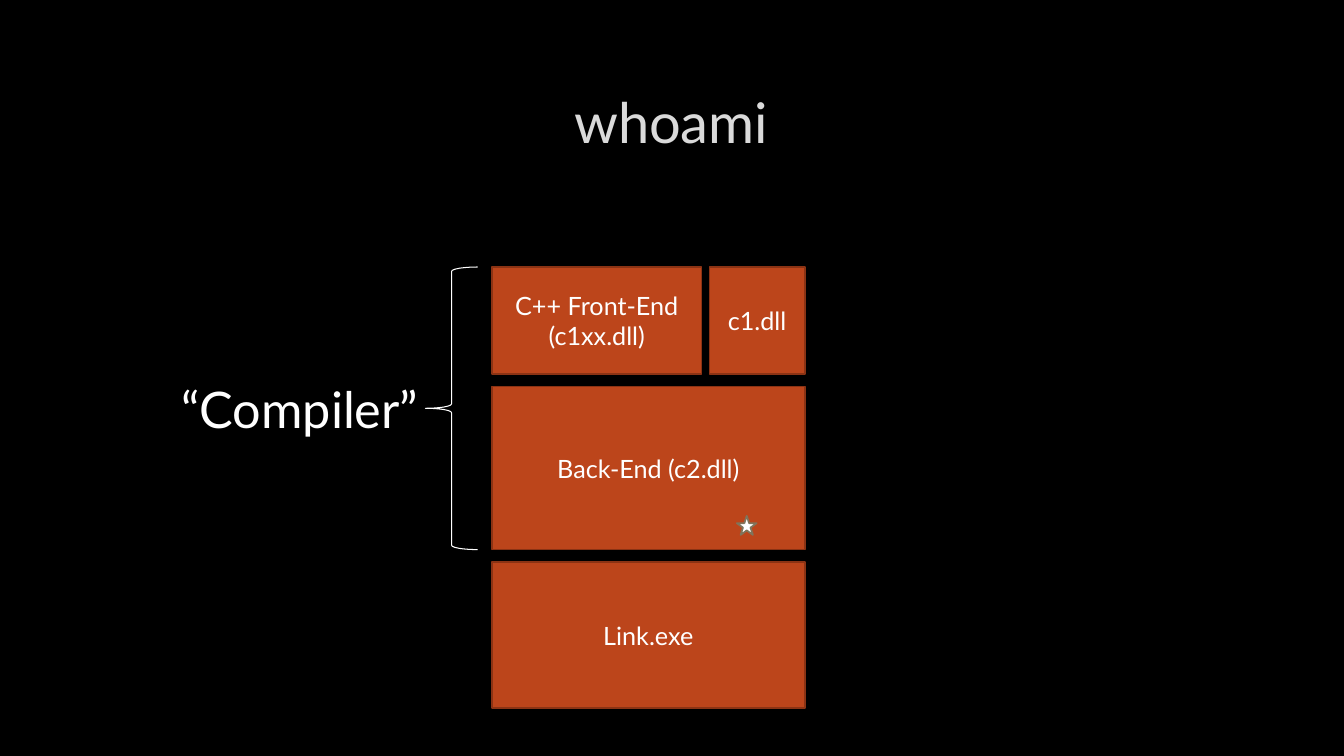
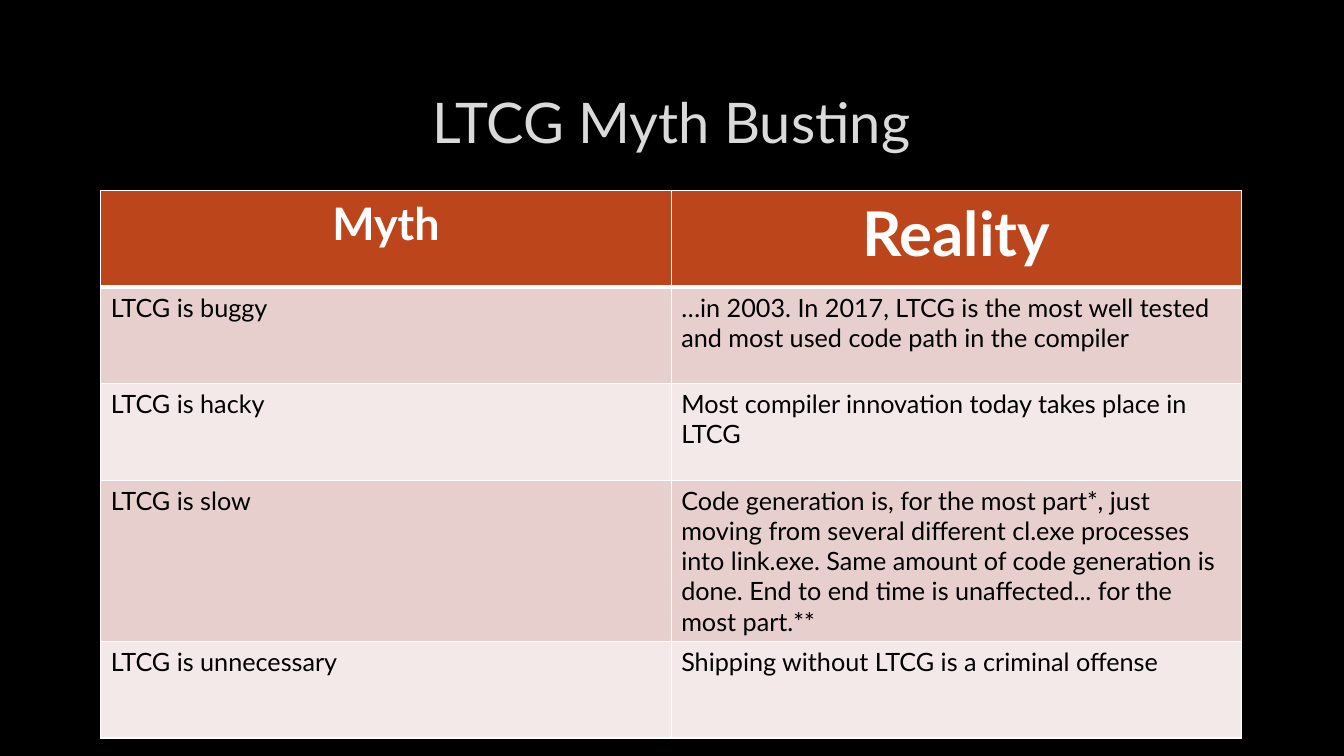
from dataclasses import dataclass

import lxml.etree
import pptx
import pptx.dml.color
import pptx.enum.shapes
import pptx.enum.text
import pptx.oxml
import pptx.oxml.ns
import pptx.util

Cm = pptx.util.Cm
Pt = pptx.util.Pt
Preset = pptx.enum.shapes.MSO_SHAPE
Align = pptx.enum.text.PP_ALIGN
Anchor = pptx.enum.text.MSO_ANCHOR


@dataclass(frozen=True)
class Theme:
    font: str = "Lato"
    background: str = "000000"
    title: str = "DADADA"
    title_outline: str = "404040"
    light: str = "FFFFFF"
    dark: str = "000000"
    accent: str = "BC451B"
    accent_line: str = "8B3314"
    star_line: str = "80745B"
    bands: tuple = ("E7CFCD", "F3E9E8")
    title_size: float = 40
    label_size: float = 36
    body_size: float = 18
    header_sizes: tuple = (32, 44)
    thin_line: float = 0.75
    shape_line: float = 1.25
    cell_line: float = 1
    header_line: float = 3
    margin: float = 2.54
    content_width: float = 28.75


THEME = Theme()

MYTHS = [
    ("LTCG is buggy",
     "…in 2003. In 2017, LTCG is the most well tested and most used code path in the compiler"),
    ("LTCG is hacky", "Most compiler innovation today takes place in LTCG"),
    ("LTCG is slow",
     "Code generation is, for the most part*, just moving from several different cl.exe "
     "processes into link.exe. Same amount of code generation is done. "
     "End to end time is unaffected... for the most part.**"),
    ("LTCG is unnecessary", "Shipping without LTCG is a criminal offense"),
]


def rgb(value):
    return pptx.dml.color.RGBColor.from_string(value)


def line_xml(tag, color, width, alpha=100):
    namespace = pptx.oxml.ns.nsdecls("a")
    return pptx.oxml.parse_xml(
        f'<a:{tag} {namespace} w="{Pt(width)}"><a:solidFill><a:srgbClr val="{color}">'
        f'<a:alpha val="{alpha * 1000}"/></a:srgbClr></a:solidFill></a:{tag}>'
    )


def add_run(text_frame, text, size, color, align=Align.LEFT, bold=False):
    paragraph = text_frame.paragraphs[0]
    paragraph.alignment = align
    run = paragraph.add_run()
    run.text = text
    run.font.name = THEME.font
    run.font.size = Pt(size)
    run.font.bold = bold
    run.font.color.rgb = rgb(color)
    return run


def add_text(slide, box, text, size, color, align=Align.LEFT, anchor=Anchor.TOP):
    shape = slide.shapes.add_textbox(*map(Cm, box))
    shape.text_frame.word_wrap = True
    shape.text_frame.vertical_anchor = anchor
    return add_run(shape.text_frame, text, size, color, align)


def add_titled_slide(presentation, title):
    slide = presentation.slides.add_slide(presentation.slide_layouts[6])
    slide.background.fill.solid()
    slide.background.fill.fore_color.rgb = rgb(THEME.background)
    run = add_text(slide, (THEME.margin, 1.7, THEME.content_width, 2.7), title,
                   THEME.title_size, THEME.title, Align.CENTER, Anchor.MIDDLE)
    run.font._element.insert(0, line_xml("ln", THEME.title_outline, THEME.thin_line, 10))
    return slide


def add_preset(slide, preset, box, line_color, line_width, fill=None):
    shape = slide.shapes.add_shape(preset, *map(Cm, box))
    shape.shadow.inherit = False
    if fill:
        shape.fill.solid()
        shape.fill.fore_color.rgb = rgb(fill)
    else:
        shape.fill.background()
    shape.line.color.rgb = rgb(line_color)
    shape.line.width = Pt(line_width)
    return shape


def add_block(slide, box, text):
    shape = add_preset(slide, Preset.RECTANGLE, box, THEME.accent_line,
                       THEME.shape_line, THEME.accent)
    shape.text_frame.word_wrap = True
    shape.text_frame.vertical_anchor = Anchor.MIDDLE
    add_run(shape.text_frame, text, THEME.body_size, THEME.light, Align.CENTER)


def style_cell(cell, fill, top_width, bottom_width):
    cell.fill.solid()
    cell.fill.fore_color.rgb = rgb(fill)
    widths = {"lnL": THEME.cell_line, "lnR": THEME.cell_line,
              "lnT": top_width, "lnB": bottom_width}
    properties = cell._tc.get_or_add_tcPr()
    for position, (tag, width) in enumerate(widths.items()):
        properties.insert(position, line_xml(tag, THEME.light, width))


def add_myth_table(slide, top, row_height):
    row_count = len(MYTHS) + 1
    table = slide.shapes.add_table(
        row_count, 2, Cm(THEME.margin), Cm(top),
        Cm(THEME.content_width), Cm(row_height * row_count)).table
    table.horz_banding = False
    for cell, text, size in zip(table.rows[0].cells, ("Myth", "Reality"), THEME.header_sizes):
        style_cell(cell, THEME.accent, THEME.cell_line, THEME.header_line)
        add_run(cell.text_frame, text, size, THEME.light, Align.CENTER, True)
    for index, texts in enumerate(MYTHS):
        top_width = THEME.cell_line if index else THEME.header_line
        for cell, text in zip(table.rows[index + 1].cells, texts):
            style_cell(cell, THEME.bands[index % 2], top_width, THEME.cell_line)
            add_run(cell.text_frame, text, THEME.body_size, THEME.dark)


def build_whoami(presentation):
    slide = add_titled_slide(presentation, "whoami")
    left, top, width = 12.4, 6.73, 7.88
    row_gap, column_gap = 0.32, 0.2
    front_height, back_height, link_height = 2.69, 4.11, 3.68
    c_width = 2.4
    front_width = width - c_width - column_gap
    back_top = top + front_height + row_gap
    back_bottom = back_top + back_height
    add_block(slide, (left, top, front_width, front_height), "C++ Front-End (c1xx.dll)")
    add_block(slide, (left + width - c_width, top, c_width, front_height), "c1.dll")
    add_block(slide, (left, back_top, width, back_height), "Back-End (c2.dll)")
    add_block(slide, (left, back_bottom + row_gap, width, link_height), "Link.exe")
    add_text(slide, (4.32, 9.4, 7.06, 1.8), "“Compiler”", THEME.label_size, THEME.light)
    add_preset(slide, Preset.LEFT_BRACE, (10.72, top, 1.32, back_bottom - top),
               THEME.light, THEME.thin_line)
    add_preset(slide, Preset.STAR_5_POINT, (18.57, 13, 0.5, 0.48),
               THEME.star_line, THEME.shape_line, THEME.light)


def build_myths(presentation):
    slide = add_titled_slide(presentation, "LTCG Myth Busting")
    add_myth_table(slide, top=4.81, row_height=2.43)


def main():
    presentation = pptx.Presentation()
    presentation.slide_width = Cm(33.87)
    presentation.slide_height = Cm(19.05)
    build_whoami(presentation)
    build_myths(presentation)
    presentation.save("out.pptx")


if __name__ == "__main__":
    main()
